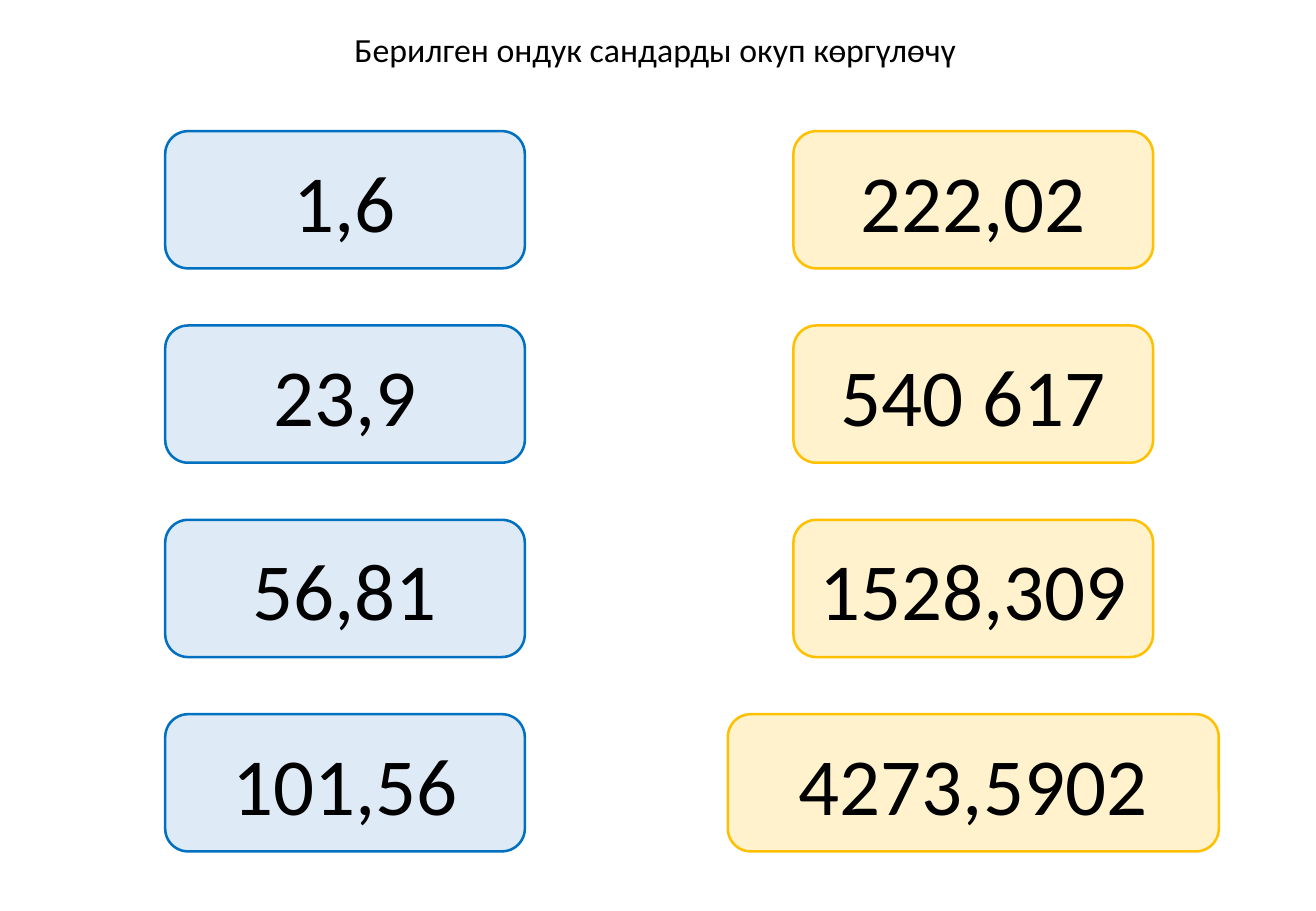
from dataclasses import dataclass

from pptx import Presentation
from pptx.dml.color import RGBColor
from pptx.enum.shapes import MSO_SHAPE as Shape
from pptx.enum.text import MSO_ANCHOR as Anchor, MSO_AUTO_SIZE as AutoSize, PP_ALIGN as Align
from pptx.slide import Slide
from pptx.text.text import TextFrame
from pptx.util import Inches, Pt

COLORS = {
    "text": "000000",
    "blue_fill": "DEEBF7",
    "blue_line": "0070C0",
    "yellow_fill": "FFF2CC",
    "yellow_line": "FFC000",
}
FONT = "Calibri"
TOP, ROW_STEP = 1.08, 1.6
CARD_WIDTH, WIDE_CARD_WIDTH, CARD_HEIGHT = 2.96, 4.04, 1.13
LONGEST_NARROW = 8  # characters that fit in a standard card


@dataclass
class Column:
    center: float
    color: str
    numbers: list[str]


COLUMNS = [
    Column(2.84, "blue", ["1,6", "23,9", "56,81", "101,56"]),
    Column(8.01, "yellow", ["222,02", "540 617", "1528,309", "4273,5902"]),
]


def rgb(name: str) -> RGBColor:
    return RGBColor.from_string(COLORS[name])


def write(frame: TextFrame, text: str, size: int) -> None:
    para = frame.paragraphs[0]
    para.alignment = Align.CENTER
    span = para.add_run()
    span.text = text
    span.font.name = FONT
    span.font.size = Pt(size)
    span.font.color.rgb = rgb("text")


def add_title(page: Slide, text: str) -> None:
    box = page.shapes.add_textbox(Inches(2.79), Inches(0.19), Inches(5.27), Inches(0.44))
    box.text_frame.word_wrap = False
    box.text_frame.auto_size = AutoSize.SHAPE_TO_FIT_TEXT
    write(box.text_frame, text, 20)


def add_card(page: Slide, column: Column, row: int, number: str) -> None:
    width = CARD_WIDTH if len(number) <= LONGEST_NARROW else WIDE_CARD_WIDTH
    card = page.shapes.add_shape(
        Shape.ROUNDED_RECTANGLE,
        Inches(column.center - width / 2), Inches(TOP + row * ROW_STEP),
        Inches(width), Inches(CARD_HEIGHT),
    )
    card.shadow.inherit = False
    card.fill.solid()
    card.fill.fore_color.rgb = rgb(f"{column.color}_fill")
    card.line.color.rgb = rgb(f"{column.color}_line")
    card.line.width = Pt(1.5)
    card.text_frame.word_wrap = True
    card.text_frame.vertical_anchor = Anchor.MIDDLE
    write(card.text_frame, number, 48)


def main() -> None:
    deck = Presentation()
    deck.slide_width, deck.slide_height = Inches(10.83), Inches(7.5)
    page = deck.slides.add_slide(deck.slide_layouts[6])

    # Heading
    add_title(page, "Берилген ондук сандарды окуп көргүлөчү ")

    # Two columns of number cards
    for column in COLUMNS:
        for row, number in enumerate(column.numbers):
            add_card(page, column, row, number)

    deck.save("out.pptx")


if __name__ == "__main__":
    main()
